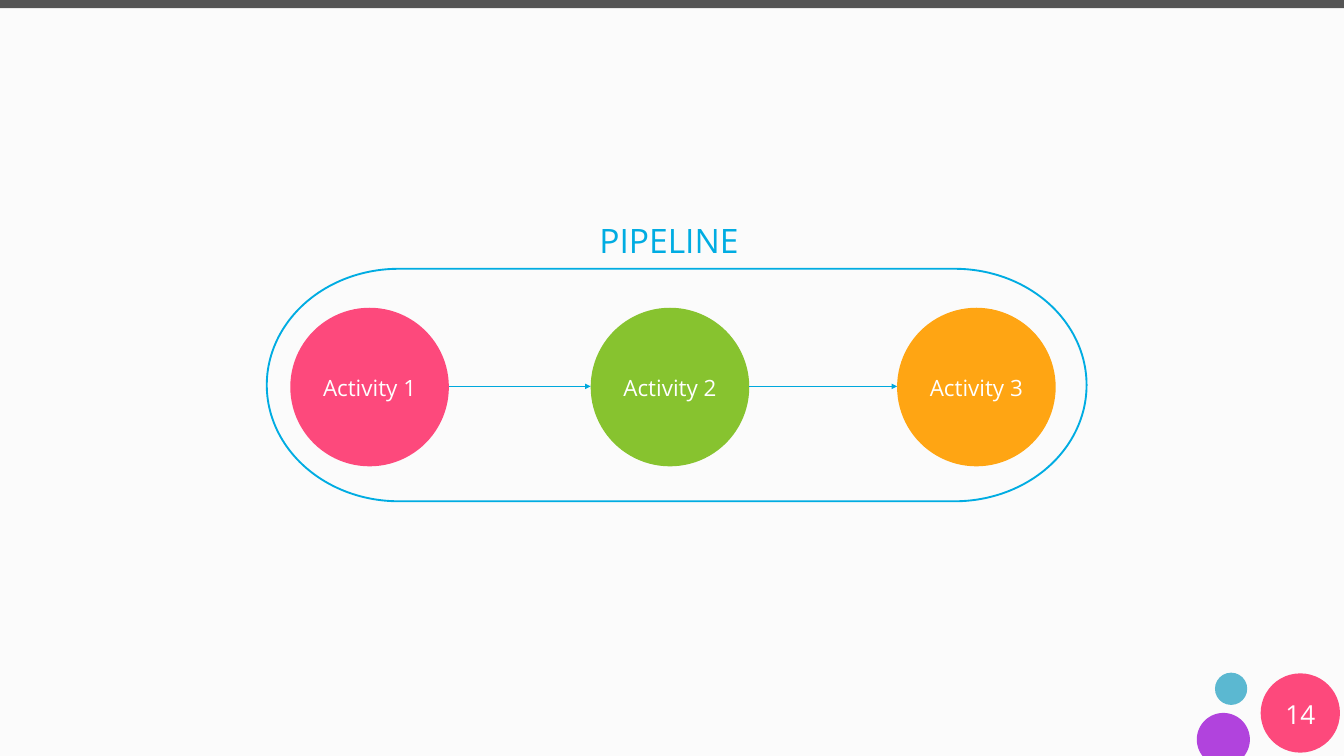
import math
from itertools import pairwise
from typing import NamedTuple

from lxml import etree
from pptx import Presentation
from pptx.dml.color import RGBColor
from pptx.enum import shapes, text
from pptx.oxml.ns import qn
from pptx.util import Inches, Pt

COLUMNS, ROWS = 80, 45
CELL = 0.25
FONT = "Open Sans"
KIND = shapes.MSO_SHAPE
PINK, WHITE, BLUE = "FD497C", "FFFFFF", "00ACE2"


class Box(NamedTuple):
    col: float
    row: float
    cols: float
    rows: float


class Activity(NamedTuple):
    label: str
    col: float
    fill: str


ACTIVITIES = [
    Activity("Activity 1", 17.28, PINK),
    Activity("Activity 2", 35.16, "87C32F"),
    Activity("Activity 3", 53.4, "FFA513"),
]
ACTIVITY_ROW, ACTIVITY_SIZE = 18.32, 9.44


def grid(n: float) -> int:
    return Inches(n * CELL)


def rgb(value: str) -> RGBColor:
    return RGBColor.from_string(value)


def paint(sp, fill: str) -> None:
    sp.shadow.inherit = False
    sp.fill.solid()
    sp.fill.fore_color.rgb = rgb(fill)
    sp.line.fill.background()


def add_filled(s, kind, box: Box, fill: str):
    sp = s.shapes.add_shape(kind, *map(grid, box))
    paint(sp, fill)
    return sp


def write(sp, words: str, size: float, color: str, align) -> None:
    tf = sp.text_frame
    p = tf.paragraphs[0]
    p.text = words
    p.alignment = align
    p.font.name = FONT
    p.font.size = Pt(size)
    p.font.color.rgb = rgb(color)


def add_arrow(s, start: float, end: float, row: float) -> None:
    line = s.shapes.add_connector(
        shapes.MSO_CONNECTOR.STRAIGHT, grid(start), grid(row), grid(end), grid(row)
    )
    line.line.color.rgb = rgb("00A8DD")
    line.line.width = Pt(0.75)
    etree.SubElement(line.line._get_or_add_ln(), qn("a:tailEnd"), type="triangle")
    etree.SubElement(line._element.spPr, qn("a:effectLst"))


def add_cut_circle(s, col: float, row: float, radius: float, fill: str) -> None:
    cut = math.asin((ROWS - row) / radius)
    steps = 72
    sweep = math.pi + 2 * cut
    angles = [math.pi - cut + sweep * i / steps for i in range(steps + 1)]
    points = [
        (grid(col + radius * math.cos(a)), grid(row + radius * math.sin(a)))
        for a in angles
    ]
    outline = s.shapes.build_freeform(*points[0])
    outline.add_line_segments(points[1:], close=True)
    paint(outline.convert_to_shape(), fill)


def add_decoration(s) -> None:
    add_filled(s, KIND.OVAL, Box(72.32, 40.04, 1.92, 1.92), "5BB8D1")
    add_filled(s, KIND.OVAL, Box(75.04, 40.08, 4.72, 4.72), PINK)
    add_cut_circle(s, 72.82, 44.02, 1.58, "B143DD")
    add_filled(s, KIND.RECTANGLE, Box(0, 0, COLUMNS, 0.48), "545454")


def add_page_number(s) -> None:
    sp = s.shapes.add_textbox(*map(grid, Box(75.04, 41.28, 4.72, 2.4)))
    tf = sp.text_frame
    tf.word_wrap = True
    tf.vertical_anchor = text.MSO_ANCHOR.MIDDLE
    tf.margin_left = tf.margin_right = Inches(0.18)
    tf.margin_top = tf.margin_bottom = Inches(0.09)
    write(sp, "14", 28, WHITE, text.PP_ALIGN.CENTER)


def add_pipeline(s) -> None:
    for activity in ACTIVITIES:
        box = Box(activity.col, ACTIVITY_ROW, ACTIVITY_SIZE, ACTIVITY_SIZE)
        sp = add_filled(s, KIND.OVAL, box, activity.fill)
        sp.text_frame.vertical_anchor = text.MSO_ANCHOR.MIDDLE
        write(sp, activity.label, 24, WHITE, text.PP_ALIGN.CENTER)

    for left, right in pairwise(ACTIVITIES):
        add_arrow(s, left.col + ACTIVITY_SIZE, right.col, 23)

    frame = s.shapes.add_shape(
        KIND.FLOWCHART_TERMINATOR, *map(grid, Box(15.88, 16, 48.8, 13.84))
    )
    frame.shadow.inherit = False
    frame.fill.background()
    frame.line.color.rgb = rgb(BLUE)
    frame.line.width = Pt(2)

    title = s.shapes.add_textbox(*map(grid, Box(35.28, 12.92, 9.16, 2.84)))
    title.text_frame.word_wrap = False
    title.text_frame.auto_size = text.MSO_AUTO_SIZE.SHAPE_TO_FIT_TEXT
    write(title, "PIPELINE", 36, BLUE, text.PP_ALIGN.LEFT)


def main() -> None:
    prs = Presentation()
    prs.slide_width, prs.slide_height = grid(COLUMNS), grid(ROWS)
    s = prs.slides.add_slide(prs.slide_layouts[6])
    s.background.fill.solid()
    s.background.fill.fore_color.rgb = rgb("FBFBFB")
    add_decoration(s)
    add_page_number(s)
    add_pipeline(s)
    prs.save("out.pptx")


if __name__ == "__main__":
    main()
